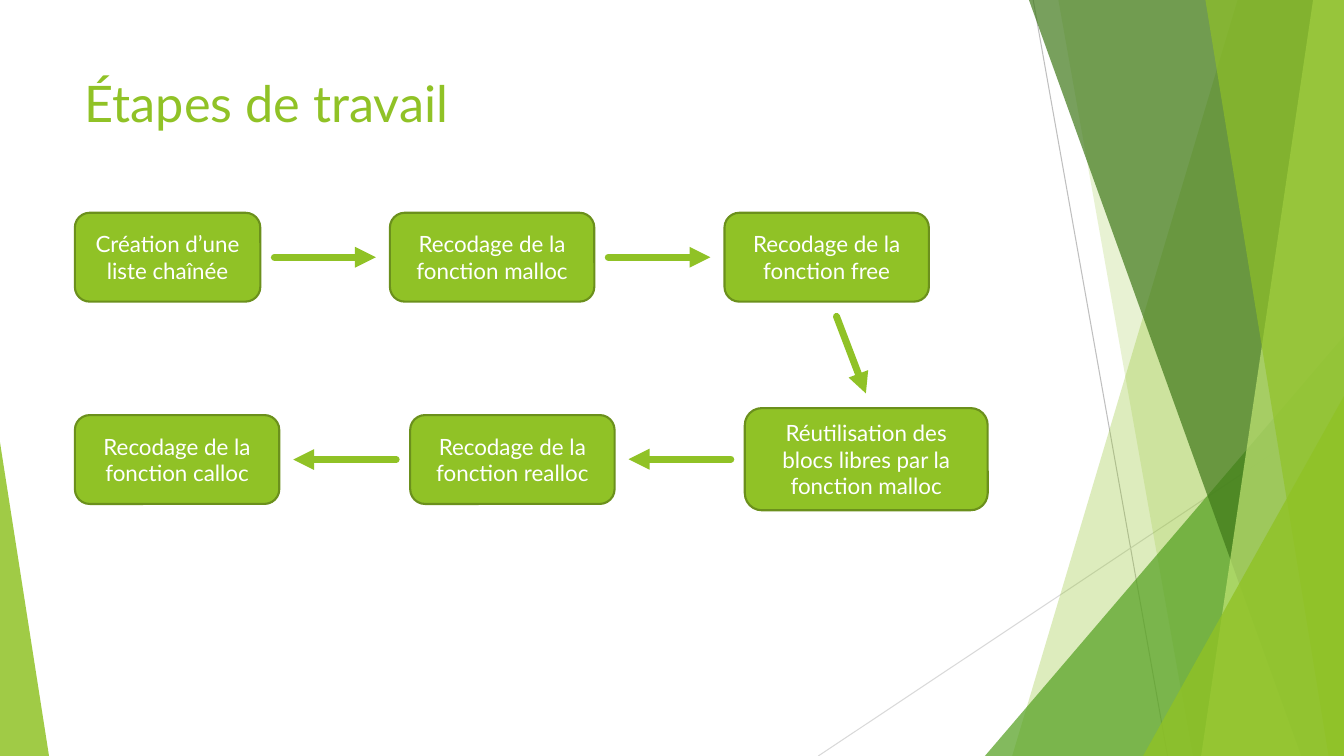
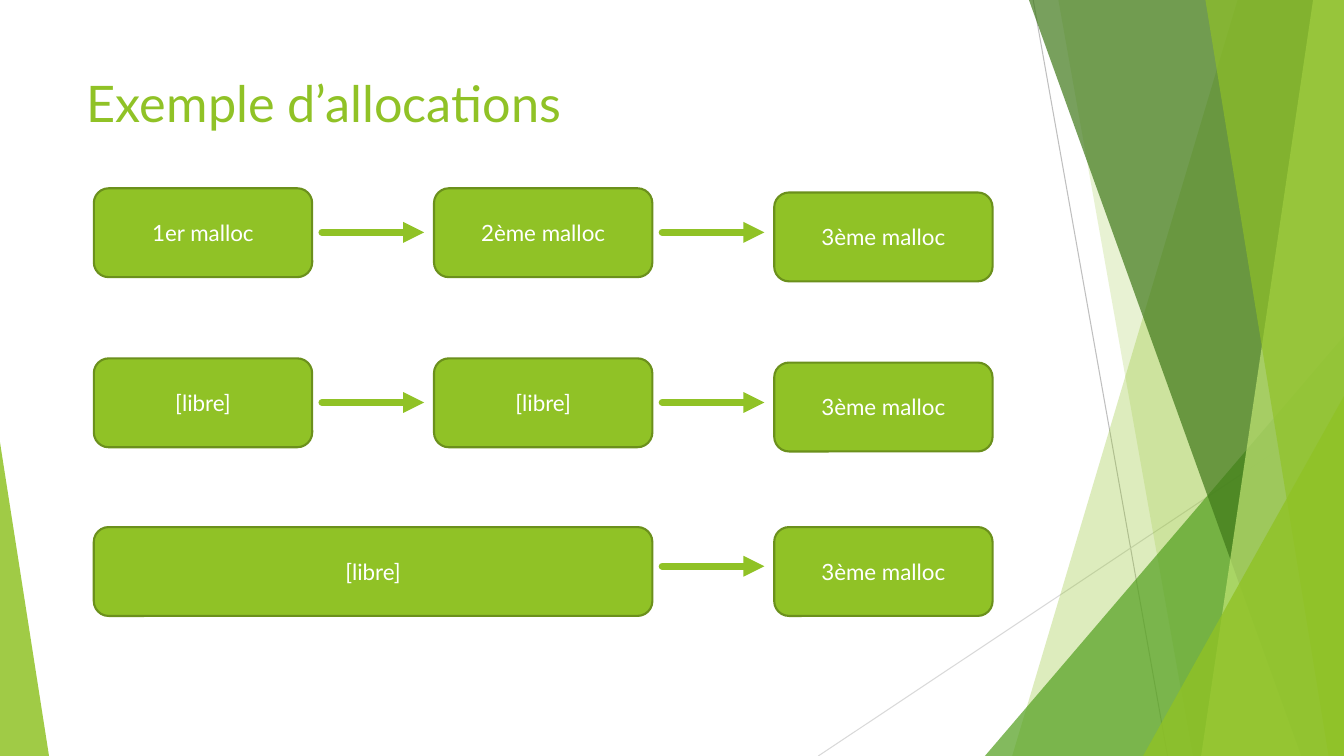
from typing import NamedTuple

from lxml.etree import SubElement
from pptx import Presentation
from pptx.dml.color import RGBColor
from pptx.enum.shapes import MSO_CONNECTOR, MSO_SHAPE
from pptx.enum.text import MSO_ANCHOR, PP_ALIGN
from pptx.oxml.ns import qn
from pptx.util import Pt

GREEN = RGBColor(0x90, 0xC2, 0x26)
OUTLINE_GREEN = RGBColor(0x6B, 0x90, 0x1C)
MID_GREEN = RGBColor(0x54, 0xA0, 0x21)
DARK_GREEN = RGBColor(0x3F, 0x78, 0x19)
PALE_GREEN = RGBColor(0xC0, 0xE4, 0x74)
GREY = RGBColor(0xBF, 0xBF, 0xBF)
LIGHT_GREY = RGBColor(0xD9, 0xD9, 0xD9)
WHITE = RGBColor(0xFF, 0xFF, 0xFF)

FONT = "Lato"
SLIDE_WIDTH, SLIDE_HEIGHT = 960, 540
STEP_HEIGHT = 63.5


class Box(NamedTuple):
    """A rectangle in points."""
    left: float
    top: float
    width: float
    height: float

    @property
    def right(self):
        return self.left + self.width

    @property
    def middle(self):
        return self.top + self.height / 2

    def lengths(self):
        return [Pt(length) for length in self]


def write_text(shape, text, size, color, align=PP_ALIGN.LEFT, anchor=MSO_ANCHOR.TOP):
    frame = shape.text_frame
    frame.word_wrap = True
    frame.vertical_anchor = anchor
    paragraph = frame.paragraphs[0]
    paragraph.alignment = align
    run = paragraph.add_run()
    run.text = text
    run.font.name = FONT
    run.font.size = Pt(size)
    run.font.color.rgb = color


def fill_translucent(shape, color, opacity):
    """Fill without outline; opacity is in percent."""
    shape.shadow.inherit = False
    shape.fill.solid()
    shape.fill.fore_color.rgb = color
    shape.line.fill.background()
    color_element = shape._element.spPr.find(qn("a:solidFill"))[0]
    SubElement(color_element, qn("a:alpha"), val=str(opacity * 1000))


def add_line(slide, start, end, color, width, arrow=False):
    connector = slide.shapes.add_connector(
        MSO_CONNECTOR.STRAIGHT, *[Pt(length) for length in (*start, *end)])
    connector.line.color.rgb = color
    connector.line.width = Pt(width)
    properties = connector._element.spPr
    if arrow:
        line = properties.find(qn("a:ln"))
        line.set("cap", "rnd")
        SubElement(line, qn("a:tailEnd"), type="triangle")
    SubElement(properties, qn("a:effectLst"))


def add_arrow(slide, start, end):
    add_line(slide, start, end, GREEN, 5, arrow=True)


def add_arrow_between(slide, source, target, gap, y=None):
    """Draw a level arrow between two boxes, in either direction."""
    y = source.middle if y is None else y
    if source.left < target.left:
        add_arrow(slide, (source.right + gap, y), (target.left - gap, y))
    else:
        add_arrow(slide, (source.left - gap, y), (target.right + gap, y))


def add_band(slide, top_x, bottom_x, color, opacity):
    """Fill from a slanted edge to the right side of the slide."""
    builder = slide.shapes.build_freeform(Pt(top_x), 0)
    corners = [(SLIDE_WIDTH, 0), (SLIDE_WIDTH, SLIDE_HEIGHT), (bottom_x, SLIDE_HEIGHT)]
    builder.add_line_segments([(Pt(x), Pt(y)) for x, y in corners], close=True)
    fill_translucent(builder.convert_to_shape(), color, opacity)


def add_corner(slide, box, peak, color, opacity):
    triangle = slide.shapes.add_shape(MSO_SHAPE.ISOSCELES_TRIANGLE, *box.lengths())
    triangle.adjustments[0] = peak
    fill_translucent(triangle, color, opacity)


def add_facets(slide):
    add_line(slide, (738, 0), (834, SLIDE_HEIGHT), GREY, 0.75)
    add_line(slide, (SLIDE_WIDTH, 290), (584.5, SLIDE_HEIGHT), LIGHT_GREY, 0.75)
    add_band(slide, 884, 723, GREEN, 30)
    add_band(slide, 756, 852, GREEN, 20)
    add_corner(slide, Box(703.5, 240, 256.5, 300), 1, MID_GREEN, 72)
    add_band(slide, 735, 929.5, DARK_GREEN, 70)
    add_band(slide, 938, 858, PALE_GREEN, 70)
    add_band(slide, 861, 949, GREEN, 65)
    add_corner(slide, Box(816.5, 283, 143.5, 257), 1, GREEN, 80)
    add_corner(slide, Box(0, 316, 35, 224), 0, GREEN, 85)


def add_titled_slide(presentation, title, title_left):
    slide = presentation.slides.add_slide(presentation.slide_layouts[6])
    add_facets(slide)
    title_box = Box(title_left, 48, 677, 104)
    write_text(slide.shapes.add_textbox(*title_box.lengths()), title, 36, GREEN)
    return slide


def add_step(slide, box, text):
    shape = slide.shapes.add_shape(MSO_SHAPE.ROUNDED_RECTANGLE, *box.lengths())
    shape.shadow.inherit = False
    shape.fill.solid()
    shape.fill.fore_color.rgb = GREEN
    shape.line.color.rgb = OUTLINE_GREEN
    shape.line.width = Pt(1.5)
    write_text(shape, text, 16, WHITE, align=PP_ALIGN.CENTER, anchor=MSO_ANCHOR.MIDDLE)


def add_chain(slide, steps, gap, arrow_y=None):
    """Draw (box, text) steps joined in order by level arrows."""
    for box, text in steps:
        add_step(slide, box, text)
    for (source, _), (target, _) in zip(steps, steps[1:]):
        add_arrow_between(slide, source, target, gap, arrow_y)


def build_work_steps(presentation):
    slide = add_titled_slide(presentation, "Étapes de travail", 53.5)
    width, upper, lower = 146, 152, 296.5
    add_chain(slide, [
        (Box(53.5, upper, 132.5, STEP_HEIGHT), "Création d’une liste chaînée"),
        (Box(278.5, upper, width, STEP_HEIGHT), "Recodage de la fonction malloc"),
        (Box(517.5, upper, width, STEP_HEIGHT), "Recodage de la fonction free"),
    ], gap=10)
    add_arrow(slide, (597.5, 226), (618.5, 281))
    add_chain(slide, [
        (Box(532, 291.5, 173.5, 73),
         "Réutilisation des blocs libres par la fonction malloc"),
        (Box(293, lower, width, STEP_HEIGHT), "Recodage de la fonction realloc"),
        (Box(53.5, lower, width, STEP_HEIGHT), "Recodage de la fonction calloc"),
    ], gap=10)


def build_allocations(presentation):
    slide = add_titled_slide(presentation, "Exemple d’allocations", 55)
    left, column_step, width = 67, 243, 156
    # Each row: top, drop of the last step, arrow height, (columns spanned, text)
    rows = [
        (134.5, 3, 166, [(1, "1er malloc"), (1, "2ème malloc"), (1, "3ème malloc")]),
        (256, 3, 287.5, [(1, "[libre]"), (1, "[libre]"), (1, "3ème malloc")]),
        (376.5, 0, 404.5, [(2, "[libre]"), (1, "3ème malloc")]),
    ]
    for top, drop, arrow_y, cells in rows:
        steps, column = [], 0
        for span, text in cells:
            y = top + drop if column == 2 else top
            box = Box(left + column * column_step, y,
                      width + (span - 1) * column_step, STEP_HEIGHT)
            steps.append((box, text))
            column += span
        add_chain(slide, steps, 7, arrow_y)


def main():
    presentation = Presentation()
    presentation.slide_width = Pt(SLIDE_WIDTH)
    presentation.slide_height = Pt(SLIDE_HEIGHT)
    build_work_steps(presentation)
    build_allocations(presentation)
    presentation.save("out.pptx")


if __name__ == "__main__":
    main()
